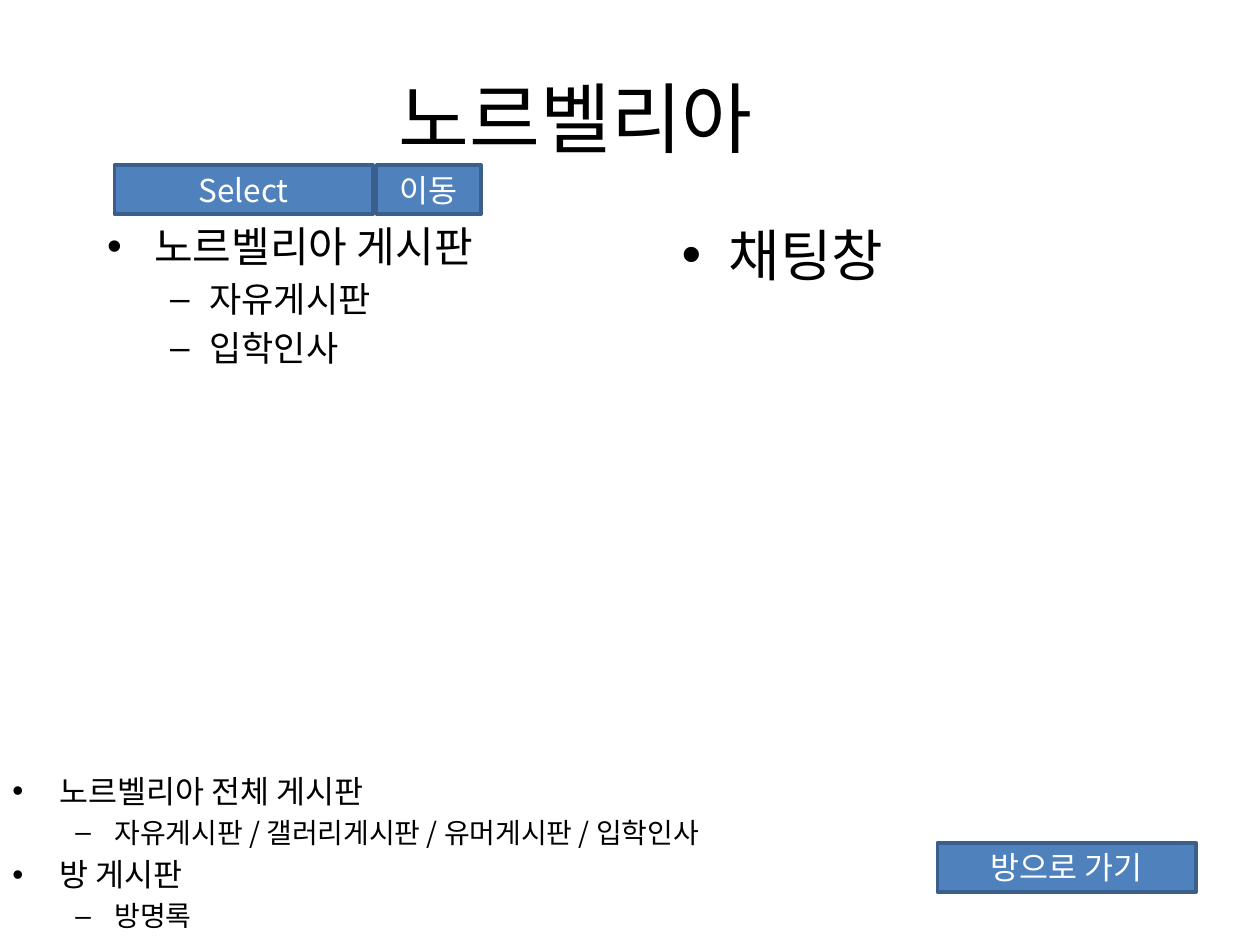
"""Build the house page slide with its boards, chat area and buttons."""
from lxml import etree
from pptx import Presentation
from pptx import util as u
from pptx.dml.color import RGBColor
from pptx.enum import shapes, text
from pptx.oxml import ns

FACE = "Noto Sans CJK KR"
HOUSE = "노르벨리아"
HUES = {"ink": "000000", "fill": "4F81BD", "edge": "3A5F8C", "pale": "FFFFFF"}
MARKS = [("•", 0.95, 0.95), ("–", 2.06, 0.79)]


def style(para, words, size, hue):
    run = para.add_run()
    run.text = words
    look = {"name": FACE, "size": u.Pt(size), "bold": False}
    for key, val in look.items():
        setattr(run.font, key, val)
    run.font.color.rgb = RGBColor.from_string(HUES[hue])
    latin = run.font._element.find(ns.qn("a:latin"))
    east = etree.Element(ns.qn("a:ea"), typeface=FACE)
    latin.addnext(east)


def mark(para, level):
    sign, left, hang = MARKS[level]
    props = para._p.get_or_add_pPr()
    props.set("marL", str(u.Cm(left)))
    props.set("indent", str(-u.Cm(hang)))
    etree.SubElement(props, ns.qn("a:buFont"), typeface="Arial")
    etree.SubElement(props, ns.qn("a:buChar"), char=sign)


deck = Presentation()
deck.slide_width, deck.slide_height = u.Cm(25.4), u.Cm(19.05)
page = deck.slides.add_slide(deck.slide_layouts[5])

title = page.shapes.title
place = {"left": 6.71, "top": 0.76, "width": 9.8, "height": 3.18}
for key, val in place.items():
    setattr(title, key, u.Cm(val))
title.text_frame.vertical_anchor = text.MSO_ANCHOR.MIDDLE
head = title.text_frame.paragraphs[0]
head.alignment = text.PP_ALIGN.CENTER
style(head, HOUSE, 44, "ink")

lists = [
    ((1.91, 4.32, 9.04, 5.99), (24, 20),
     [(0, f"{HOUSE} 게시판"), (1, "자유게시판"), (1, "입학인사")]),
    ((13.49, 4.32, 9.04, 1.6), (32, 28), [(0, "채팅창")]),
    ((0, 15.44, 16.92, 3.61), (18, 16),
     [(0, f"{HOUSE} 전체 게시판"),
      (1, "자유게시판 / 갤러리게시판 / 유머게시판 / 입학인사"),
      (0, "방 게시판"), (1, "방명록")]),
]
for area, sizes, items in lists:
    frame = page.shapes.add_textbox(*map(u.Cm, area)).text_frame
    frame.word_wrap = True
    for num, (level, words) in enumerate(items):
        para = frame.add_paragraph() if num else frame.paragraphs[0]
        para.level = level
        para.space_before = u.Pt(sizes[level] * 0.2)
        mark(para, level)
        style(para, words, sizes[level], "ink")

buttons = [
    ("Select", 2.31, 3.33, 5.21),
    ("이동", 7.59, 3.33, 2.11),
    ("방으로 가기", 18.9, 16.99, 5.21),
]
for words, left, top, width in buttons:
    area = map(u.Cm, (left, top, width, 0.99))
    box = page.shapes.add_shape(shapes.MSO_SHAPE.RECTANGLE, *area)
    box.shadow.inherit = False
    box.fill.solid()
    box.fill.fore_color.rgb = RGBColor.from_string(HUES["fill"])
    box.line.color.rgb = RGBColor.from_string(HUES["edge"])
    box.line.width = u.Pt(2)
    box.text_frame.vertical_anchor = text.MSO_ANCHOR.MIDDLE
    para = box.text_frame.paragraphs[0]
    para.alignment = text.PP_ALIGN.CENTER
    style(para, words, 18, "pale")

deck.save("out.pptx")
